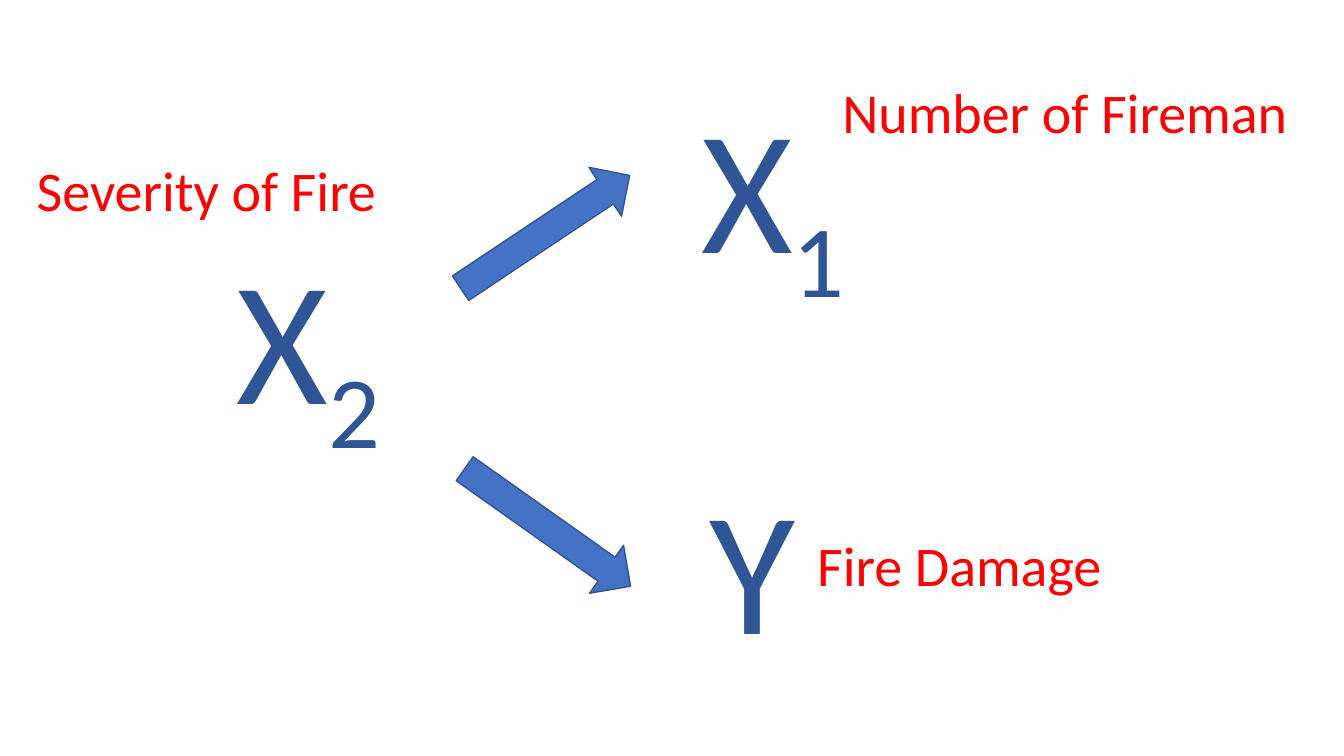
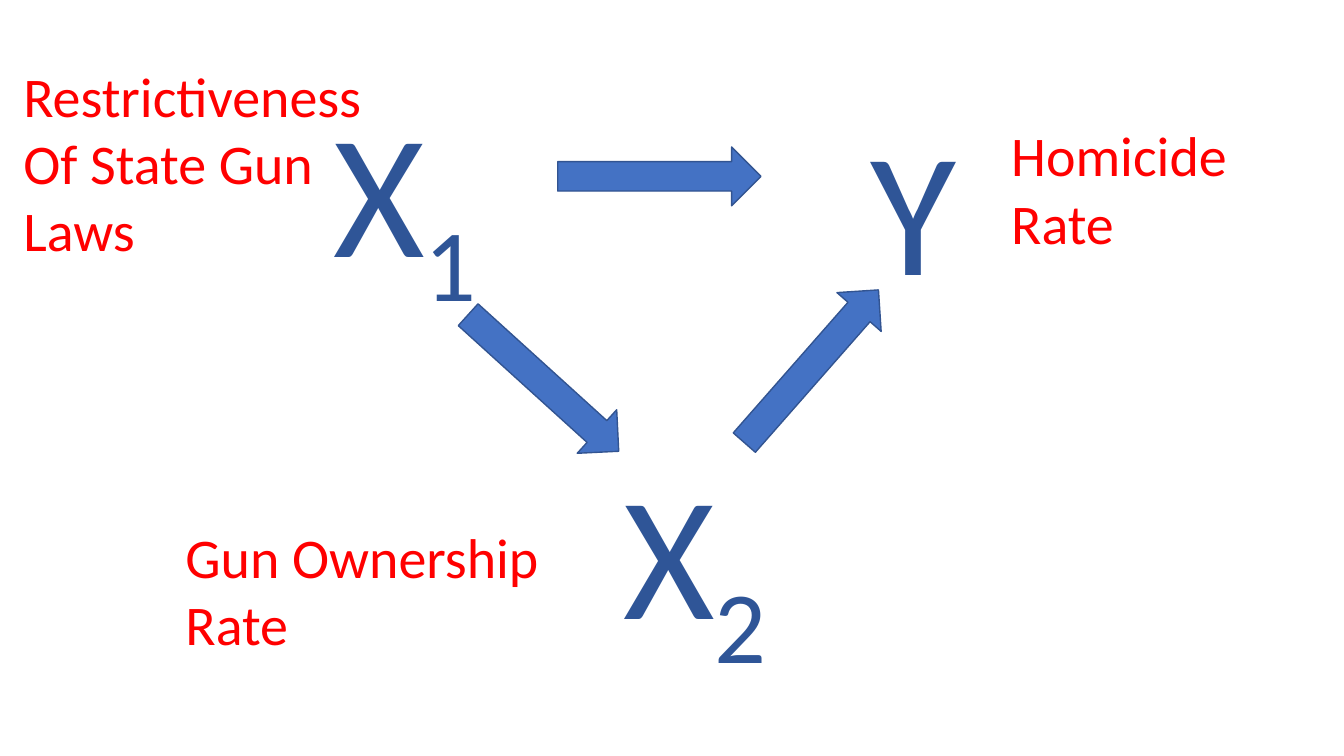
from dataclasses import dataclass

from pptx import Presentation
from pptx.dml.color import RGBColor
from pptx.enum.shapes import MSO_SHAPE
from pptx.enum.text import MSO_AUTO_SIZE
from pptx.util import Emu, Inches, Pt

COLORS = {"symbol": "2F5597", "label": "FF0000", "arrow": "4472C4", "edge": "325491"}
FORMATS = {
    "symbol": {"name": "Calibri", "size": Pt(126)},
    "label": {"name": "Calibri", "size": Pt(40)},
}
FRAME = {"word_wrap": False, "auto_size": MSO_AUTO_SIZE.SHAPE_TO_FIT_TEXT}
SUBSCRIPT = "-25000"

# All lengths below are cells of a grid over the diagram's box.
COLUMNS, ROWS = 160, 90
SYMBOL_HEIGHT = 26.6
PLAIN_WIDTH, INDEXED_WIDTH = 12.7, 20.6
ARROW_WIDTH, ARROW_HEIGHT = 24.2, 7
LINE_HEIGHT, LABEL_PADDING = 8.1, 1.2

# symbols: letter, index, column, row of the top left corner
# arrows: column and row of the centre, clockwise angle
# labels: lines, column, row, width
FIRE = {
    "symbols": [("X", "2", 27, 26.6), ("Y", "", 83.3, 54), ("X", "1", 82.3, 8.6)],
    "arrows": [(65.2, 62.8, 35.3), (64.9, 27.6, -33.7)],
    "labels": [
        (["Number of Fireman"], 99.1, 8.6, 55.9),
        (["Severity of Fire"], 3.2, 17.9, 43.2),
        (["Fire Damage"], 96.1, 62.6, 36.6),
    ],
}
GUN_LAWS = {
    "symbols": [("X", "2", 73, 52.2), ("Y", "", 102.5, 11.2), ("X", "1", 38.5, 9.1)],
    "arrows": [(64.7, 45.6, 42.2), (78.5, 21, 0), (96.6, 43.6, -48.7)],
    "labels": [
        (["Restrictiveness", "Of State Gun", "Laws"], 1.6, 6.7, 43.1),
        (["Gun Ownership", "Rate"], 20.9, 61.6, 44.9),
        (["Homicide", "Rate"], 119.2, 13.8, 29.9),
    ],
}


@dataclass
class Box:
    left: int
    top: int
    width: int
    height: int

    def cells(self, column, row, width, height):
        """Turn grid cells into left, top, width and height on the page."""
        across, down = self.width / COLUMNS, self.height / ROWS
        return (
            Emu(round(self.left + column * across)),
            Emu(round(self.top + row * down)),
            Emu(round(width * across)),
            Emu(round(height * down)),
        )


def color(name):
    return RGBColor.from_string(COLORS[name])


def apply(target, values):
    for name, value in values.items():
        setattr(target, name, value)


def add_span(para, text, style):
    span = para.add_run()
    span.text = text
    apply(span.font, FORMATS[style])
    span.font.color.rgb = color(style)
    return span


def add_frame(page, place):
    frame = page.shapes.add_textbox(*place).text_frame
    apply(frame, FRAME)
    return frame


def add_symbol(page, box, letter, index, column, row):
    width = INDEXED_WIDTH if index else PLAIN_WIDTH
    frame = add_frame(page, box.cells(column, row, width, SYMBOL_HEIGHT))
    para = frame.paragraphs[0]
    add_span(para, letter, "symbol")
    if index:
        span = add_span(para, index, "symbol")
        span._r.get_or_add_rPr().set("baseline", SUBSCRIPT)


def add_label(page, box, lines, column, row, width):
    height = LABEL_PADDING + LINE_HEIGHT * len(lines)
    frame = add_frame(page, box.cells(column, row, width, height))
    for number, line in enumerate(lines):
        para = frame.add_paragraph() if number else frame.paragraphs[0]
        add_span(para, line, "label")


def add_arrow(page, box, column, row, angle):
    corner = column - ARROW_WIDTH / 2, row - ARROW_HEIGHT / 2
    place = box.cells(*corner, ARROW_WIDTH, ARROW_HEIGHT)
    arrow = page.shapes.add_shape(MSO_SHAPE.RIGHT_ARROW, *place)
    arrow.rotation = angle
    arrow.shadow.inherit = False
    arrow.fill.solid()
    arrow.fill.fore_color.rgb = color("arrow")
    arrow.line.color.rgb = color("edge")
    arrow.line.width = Pt(1)


def add_diagram(page, box, diagram):
    for symbol in diagram["symbols"]:
        add_symbol(page, box, *symbol)
    for arrow in diagram["arrows"]:
        add_arrow(page, box, *arrow)
    for label in diagram["labels"]:
        add_label(page, box, *label)


def main():
    deck = Presentation()
    deck.slide_height = Inches(7.5)
    deck.slide_width = Emu(deck.slide_height * 16 // 9)
    whole = Box(0, 0, deck.slide_width, deck.slide_height)
    for diagram in (FIRE, GUN_LAWS):
        page = deck.slides.add_slide(deck.slide_layouts[6])
        add_diagram(page, whole, diagram)
    deck.save("out.pptx")


if __name__ == "__main__":
    main()
